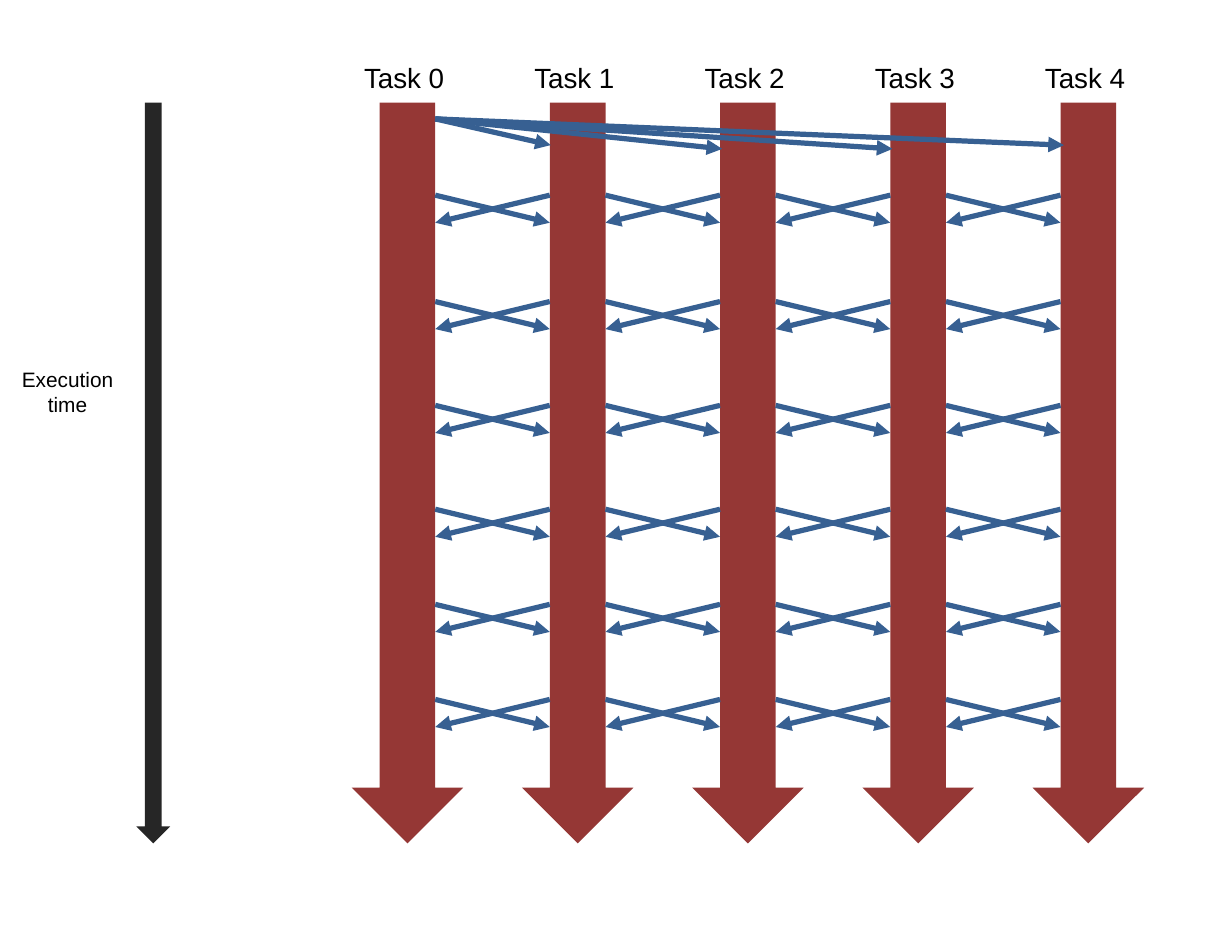
import pptx
import pptx.util
import pptx.dml.color
import pptx.enum.shapes
import pptx.enum.text
import pptx.oxml
import pptx.oxml.ns
from pptx.util import Inches

TASK_RED = pptx.dml.color.RGBColor(0x95, 0x37, 0x35)
MESSAGE_BLUE = pptx.dml.color.RGBColor(0x37, 0x60, 0x92)
TIME_GREY = pptx.dml.color.RGBColor(0x26, 0x26, 0x26)
BLACK = pptx.dml.color.RGBColor(0, 0, 0)

TASK_COUNT = 5
TASK_PITCH = 1.36
TASK_WIDTH = 0.89
BROADCAST_START = 0.13
BROADCAST_ENDS = [(1.59, 0.34), (2.96, 0.37), (4.32, 0.37), (5.69, 0.34)]
EXCHANGE_STARTS = [0.74, 1.59, 2.42, 3.25, 4.01, 4.77]
EXCHANGE_DROP = 0.22


def add_down_arrow(slide, left, top, width, height, color):
    """Draw a solid block arrow pointing down."""
    arrow = slide.shapes.add_shape(
        pptx.enum.shapes.MSO_SHAPE.DOWN_ARROW,
        Inches(left), Inches(top), Inches(width), Inches(height))
    arrow.shadow.inherit = False
    arrow.fill.solid()
    arrow.fill.fore_color.rgb = color
    arrow.line.fill.background()


def add_label(slide, left, top, width, height, lines, size, alignment):
    """Write one paragraph per line in an unwrapped text box."""
    box = slide.shapes.add_textbox(
        Inches(left), Inches(top), Inches(width), Inches(height))
    frame = box.text_frame
    frame.text = "\n".join(lines)
    frame.word_wrap = False
    frame.auto_size = pptx.enum.text.MSO_AUTO_SIZE.SHAPE_TO_FIT_TEXT
    for paragraph in frame.paragraphs:
        paragraph.alignment = alignment
        paragraph.font.name = "Arial"
        paragraph.font.size = pptx.util.Pt(size)
        paragraph.font.color.rgb = BLACK


def add_message(slide, start_x, start_y, end_x, end_y):
    """Draw a message line with an arrowhead at its end."""
    connector = slide.shapes.add_connector(
        pptx.enum.shapes.MSO_CONNECTOR.STRAIGHT,
        Inches(start_x), Inches(start_y), Inches(end_x), Inches(end_y))
    connector.line.color.rgb = MESSAGE_BLUE
    connector.line.width = pptx.util.Pt(3)
    properties = connector._element.spPr
    tail = pptx.oxml.parse_xml(
        f'<a:tailEnd {pptx.oxml.ns.nsdecls("a")} type="triangle"/>')
    properties.find(pptx.oxml.ns.qn("a:ln")).append(tail)
    effects = pptx.oxml.parse_xml(f'<a:effectLst {pptx.oxml.ns.nsdecls("a")}/>')
    properties.append(effects)


def add_time_axis(slide, left, top, height):
    """Draw the execution time arrow with its label on the left."""
    add_down_arrow(slide, left + 1.02, top, 0.27, height, TIME_GREY)
    add_label(slide, left, top + 2.06, 0.94, 0.5, ["Execution", "time"], 12,
              pptx.enum.text.PP_ALIGN.CENTER)


def add_tasks(slide, left, top, height):
    """Draw the row of task arrows with their headings above."""
    for task in range(TASK_COUNT):
        task_left = left + task * TASK_PITCH
        add_down_arrow(slide, task_left, top, TASK_WIDTH, height, TASK_RED)
        add_label(slide, task_left, top - 0.38, 0.85, 0.37, [f"Task {task}"], 16,
                  pptx.enum.text.PP_ALIGN.LEFT)


def add_messages(slide, left, top):
    """Draw the broadcast from task 0 and the exchanges between neighbours."""
    shaft_right = left + TASK_WIDTH * 0.75
    for end_x, end_y in BROADCAST_ENDS:
        add_message(slide, shaft_right, top + BROADCAST_START,
                    left + end_x, top + end_y)
    gap = TASK_PITCH - TASK_WIDTH / 2
    for pair in range(TASK_COUNT - 1):
        gap_left = shaft_right + pair * TASK_PITCH
        gap_right = gap_left + gap
        for start in EXCHANGE_STARTS:
            sent = top + start
            received = sent + EXCHANGE_DROP
            add_message(slide, gap_left, sent, gap_right, received)
            add_message(slide, gap_right, sent, gap_left, received)


def main():
    """Build the slide and save the presentation."""
    presentation = pptx.Presentation()
    presentation.slide_width = pptx.util.Cm(25)
    presentation.slide_height = pptx.util.Cm(19)
    slide = presentation.slides.add_slide(presentation.slide_layouts[6])
    add_time_axis(slide, 0.07, 0.82, 5.92)
    add_tasks(slide, 2.81, 0.82, 5.92)
    add_messages(slide, 2.81, 0.82)
    presentation.save("out.pptx")


if __name__ == "__main__":
    main()
